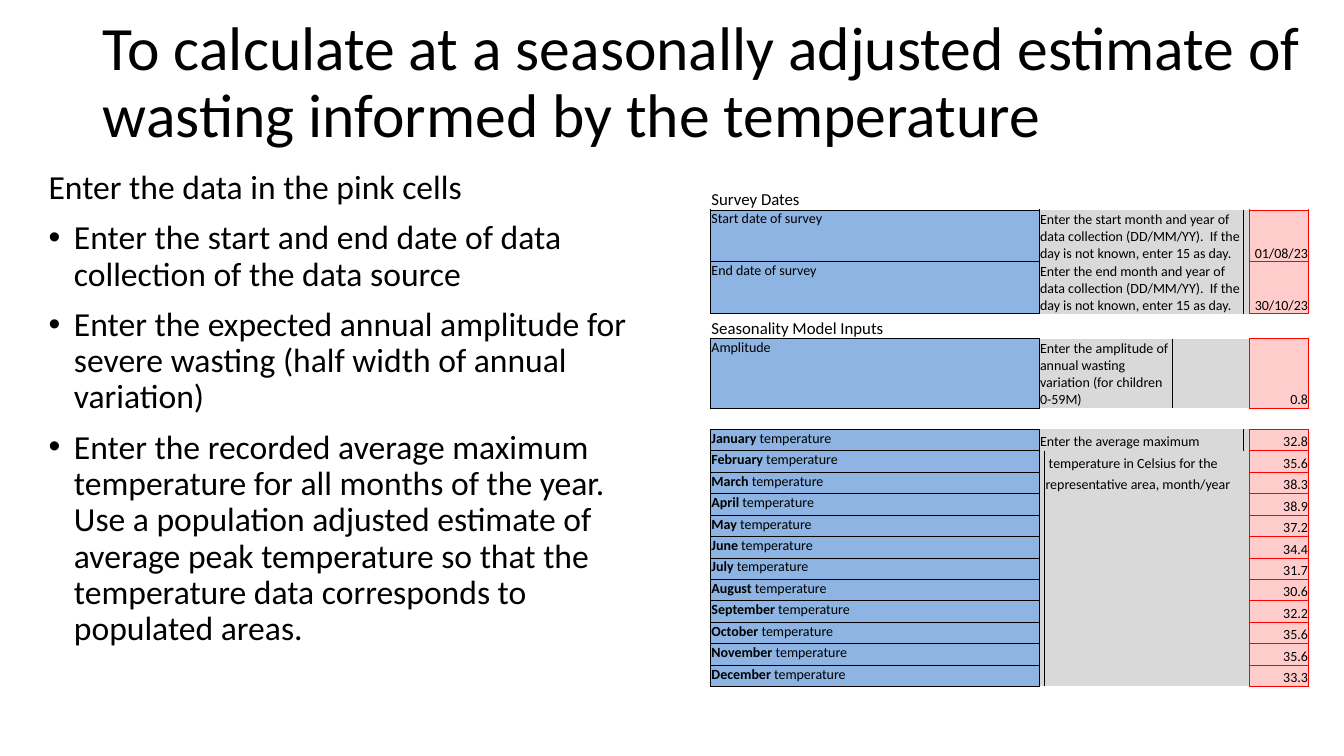
from lxml.etree import SubElement
from pptx import Presentation
from pptx.dml.color import RGBColor
from pptx.enum.text import MSO_ANCHOR, MSO_AUTO_SIZE, PP_ALIGN
from pptx.oxml.ns import qn
from pptx.util import Cm, Pt

BLACK = RGBColor(0x00, 0x00, 0x00)
WHITE = RGBColor(0xFF, 0xFF, 0xFF)
RED = RGBColor(0xFF, 0x00, 0x00)
BLUE = RGBColor(0x8D, 0xB4, 0xE2)
GREY = RGBColor(0xD9, 0xD9, 0xD9)
PINK = RGBColor(0xFF, 0xCC, 0xCC)
FONT = "Calibri"
NO_GRID_STYLE = "{2D5ABB26-0587-4C30-8999-92F81FD0307C}"

TITLE = "To calculate at a seasonally adjusted estimate of wasting informed by the temperature"
INTRODUCTION = "Enter the data in the pink cells"
STEPS = [
    "Enter the start and end date of data collection of the data source",
    "Enter the expected annual amplitude for severe wasting (half width of annual variation)",
    "Enter the recorded average maximum temperature for all months of the year. "
    "Use a population adjusted estimate of average peak temperature so that the "
    "temperature data corresponds to populated areas.",
]

COLUMN_WIDTHS = [8.28, 0.1, 1.07, 1.07, 1.07, 1.8, 0.1, 1.5]
MONTH_HEIGHT = 0.54
FIRST_MONTH_ROW = 6
ROW_HEIGHTS = [0.53, 1.31, 1.31, 0.63, 1.75, 0.53] + [MONTH_HEIGHT] * 12
HEADINGS = {0: "Survey Dates", 3: "Seasonality Model Inputs"}
INPUTS = {
    1: ("Start date of survey", "01/08/23"),
    2: ("End date of survey", "30/10/23"),
    4: ("Amplitude", "0.8"),
}
TEMPERATURES = {
    "January": "32.8", "February": "35.6", "March": "38.3", "April": "38.9",
    "May": "37.2", "June": "34.4", "July": "31.7", "August": "30.6",
    "September": "32.2", "October": "35.6", "November": "35.6", "December": "33.3",
}
DATE_HINT = ("Enter the {} month and year of data collection (DD/MM/YY).  "
             "If the day is not known, enter 15 as day.")
HINTS = [
    (1, 1, 5, DATE_HINT.format("start")),
    (2, 1, 5, DATE_HINT.format("end")),
    (4, 1, 4, "Enter the amplitude of annual wasting variation (for children 0-59M)"),
    (6, 1, 5, "Enter the average maximum"),
    (7, 2, 5, " temperature in Celsius for the  "),
    (8, 2, 5, "representative area, month/year "),
]


def add_span(paragraph, text, size, bold=False):
    """Add one formatted run to a paragraph."""
    span = paragraph.add_run()
    span.text = text
    span.font.name = FONT
    span.font.size = Pt(size)
    span.font.bold = bold
    span.font.color.rgb = BLACK


def place(shape, left, top, width, height):
    """Move and size a placeholder, in centimetres."""
    shape.left, shape.top = Cm(left), Cm(top)
    shape.width, shape.height = Cm(width), Cm(height)
    shape.text_frame.auto_size = MSO_AUTO_SIZE.NONE


def fill_title(title):
    """Write the slide title."""
    place(title, 2.34, 0.28, 30.86, 3.68)
    title.text_frame.vertical_anchor = MSO_ANCHOR.MIDDLE
    paragraph = title.text_frame.paragraphs[0]
    paragraph.alignment = PP_ALIGN.LEFT
    paragraph.line_spacing = 0.9
    add_span(paragraph, TITLE, 44)


def fill_body(body):
    """Write the introduction and the bulleted steps."""
    place(body, 0.97, 4.17, 15.32, 13.87)
    frame = body.text_frame
    for index, text in enumerate([INTRODUCTION, *STEPS]):
        paragraph = frame.add_paragraph() if index else frame.paragraphs[0]
        paragraph.line_spacing = 0.9
        paragraph.space_before = Pt(10)
        add_span(paragraph, text, 24)
        properties = paragraph._p.get_or_add_pPr()
        indent = Cm(0.64) if index else 0
        properties.set("marL", str(indent))
        properties.set("indent", str(-indent))
        if index:
            SubElement(properties, qn("a:buChar"), char="•")
        else:
            SubElement(properties, qn("a:buNone"))


def add_borders(cell, colour, sides):
    """Draw half-point borders on the given sides of a cell."""
    properties = cell._tc.get_or_add_tcPr()
    for side in sides:
        line = SubElement(properties, qn(f"a:ln{side}"), w=str(Pt(0.5)))
        solid = SubElement(line, qn("a:solidFill"))
        SubElement(solid, qn("a:srgbClr"), val=str(colour))


def paint(cell, colour):
    """Fill a cell and set its small margins and blank text size."""
    cell.fill.solid()
    cell.fill.fore_color.rgb = colour
    cell.margin_left = cell.margin_right = cell.margin_top = Cm(0.02)
    cell.margin_bottom = 0
    SubElement(cell.text_frame.paragraphs[0]._p, qn("a:endParaRPr"), sz="1000")


def write(cell, spans, size=10, anchor=MSO_ANCHOR.BOTTOM, alignment=PP_ALIGN.LEFT):
    """Write (text, bold) spans into a cell."""
    cell.vertical_anchor = anchor
    paragraph = cell.text_frame.paragraphs[0]
    paragraph.alignment = alignment
    for text, bold in spans:
        add_span(paragraph, text, size, bold)


def style_row(table, row, is_input):
    """Colour and border every cell of a table row."""
    last = len(COLUMN_WIDTHS) - 1
    borders = {0: (BLACK, "LRTB"), 1: (BLACK, "L"), last - 1: (RED, "R"), last: (RED, "LRTB")}
    fills = {0: BLUE, last: PINK}
    for column in range(last + 1):
        cell = table.cell(row, column)
        if is_input and column in borders:
            add_borders(cell, *borders[column])
        paint(cell, fills.get(column, GREY) if is_input else WHITE)


def write_input(table, row, label, value):
    """Write the label and the right-aligned value of an input row."""
    write(table.cell(row, 0), label, anchor=MSO_ANCHOR.TOP)
    write(table.cell(row, len(COLUMN_WIDTHS) - 1), [(value, False)], alignment=PP_ALIGN.RIGHT)


def add_input_table(page):
    """Add the table of survey dates and seasonality inputs."""
    frame = page.shapes.add_table(
        len(ROW_HEIGHTS), len(COLUMN_WIDTHS), Cm(17.91), Cm(4.75),
        Cm(sum(COLUMN_WIDTHS)), Cm(sum(ROW_HEIGHTS)))
    table = frame.table
    table.first_row = table.horz_banding = False
    table._tbl.tblPr.find(qn("a:tableStyleId")).text = NO_GRID_STYLE
    for column, width in zip(table.columns, COLUMN_WIDTHS):
        column.width = Cm(width)
    for index, height in enumerate(ROW_HEIGHTS):
        table.rows[index].height = Cm(height)
        style_row(table, index, index in INPUTS or index >= FIRST_MONTH_ROW)
    for row, heading in HEADINGS.items():
        write(table.cell(row, 0), [(heading, False)], size=12)
    for row, (label, value) in INPUTS.items():
        write_input(table, row, [(label, False)], value)
    for row, (month, value) in enumerate(TEMPERATURES.items(), FIRST_MONTH_ROW):
        write_input(table, row, [(month, True), (" temperature", False)], value)
    for row, first, last, hint in HINTS:
        table.cell(row, first).merge(table.cell(row, last))
        write(table.cell(row, first), [(hint, False)])


def main():
    """Build the slide and save the deck."""
    deck = Presentation()
    deck.slide_width, deck.slide_height = Cm(33.87), Cm(19.05)
    page = deck.slides.add_slide(deck.slide_layouts[1])
    fill_title(page.shapes.title)
    fill_body(page.placeholders[1])
    add_input_table(page)
    deck.save("out.pptx")


if __name__ == "__main__":
    main()
